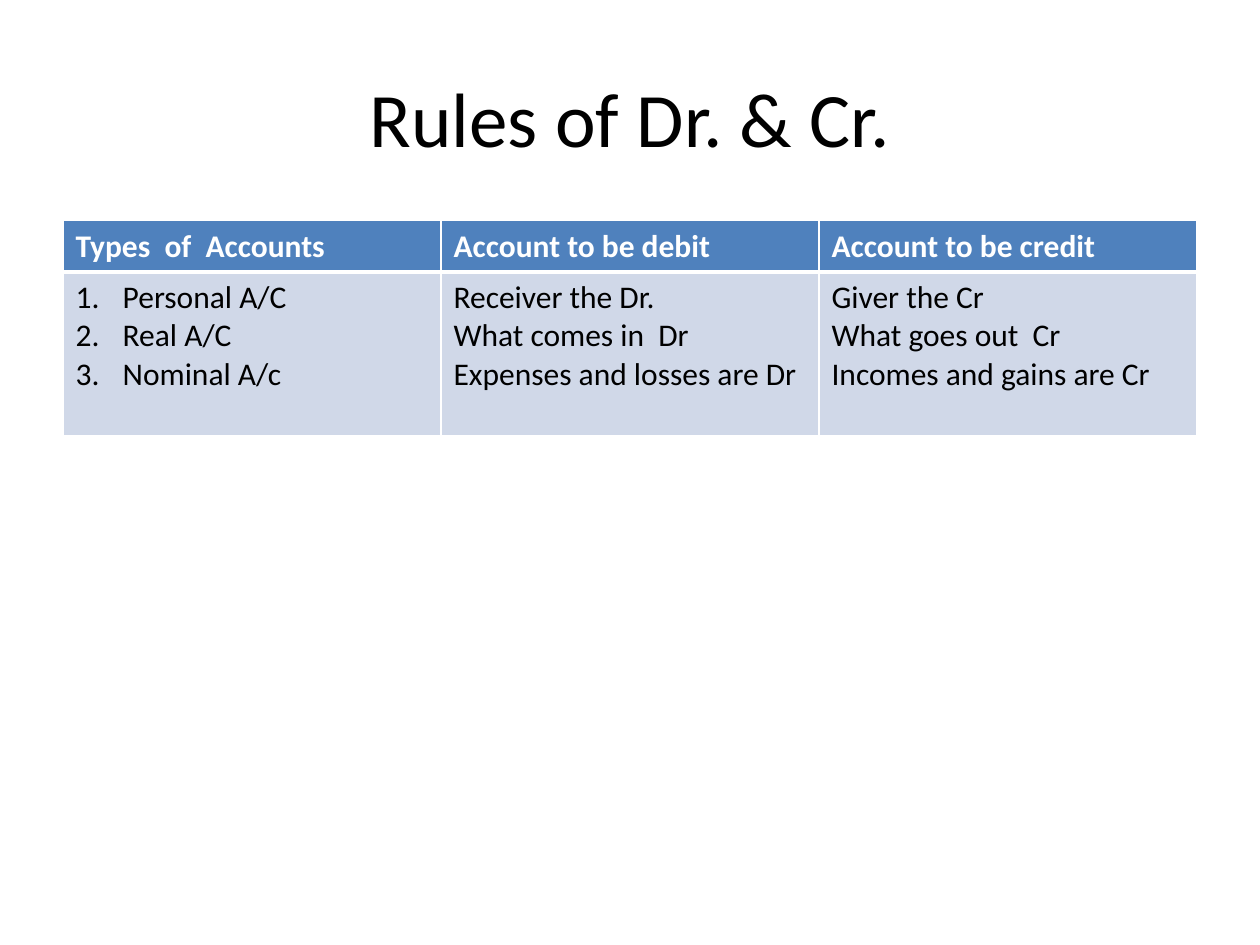
from dataclasses import dataclass

from lxml.etree import SubElement
from pptx import Presentation
from pptx.dml.color import RGBColor
from pptx.enum.text import MSO_ANCHOR, PP_ALIGN
from pptx.oxml.ns import qn
from pptx.util import Cm, Pt


@dataclass(frozen=True)
class Theme:
    font: str = "Calibri"
    title_size: Pt = Pt(44)
    table_size: Pt = Pt(18)
    black: RGBColor = RGBColor(0x00, 0x00, 0x00)
    white: RGBColor = RGBColor(0xFF, 0xFF, 0xFF)
    header_fill: RGBColor = RGBColor(0x4F, 0x81, 0xBD)
    body_fill: RGBColor = RGBColor(0xD0, 0xD8, 0xE8)
    thin_line: Pt = Pt(1)
    thick_line: Pt = Pt(3)


THEME = Theme()
MARGIN = Cm(1.27)
CONTENT_WIDTH = Cm(22.86)
LIST_INDENT = Cm(0.95)
ROW_HEIGHTS = (Cm(1.03), Cm(3.31))

COLUMNS = {
    "Types  of  Accounts": ["Personal A/C", "Real A/C", "Nominal A/c"],
    "Account to be debit": [
        "Receiver the Dr.", "What comes in  Dr", "Expenses and losses are Dr",
    ],
    "Account to be credit": [
        "Giver the Cr", "What goes out  Cr", "Incomes and gains are Cr",
    ],
}


def set_attributes(target, values):
    for name, value in values.items():
        setattr(target, name, value)


def format_font(font, size, color, bold=False):
    set_attributes(font, {"name": THEME.font, "size": size, "bold": bold})
    font.color.rgb = color


def add_title(slide, text):
    title = slide.shapes.title
    set_attributes(title, {
        "left": MARGIN, "top": Cm(0.76),
        "width": CONTENT_WIDTH, "height": Cm(3.18),
    })
    frame = title.text_frame
    set_attributes(frame, {
        "text": text, "word_wrap": True, "vertical_anchor": MSO_ANCHOR.MIDDLE,
    })
    paragraph = frame.paragraphs[0]
    paragraph.alignment = PP_ALIGN.CENTER
    format_font(paragraph.runs[0].font, THEME.title_size, THEME.black)


def set_borders(cell, widths):
    """Draw white cell borders; widths maps L, R, T and B, in that order."""
    properties = cell._tc.get_or_add_tcPr()
    for side, width in widths.items():
        line = SubElement(properties, qn(f"a:ln{side}"), w=str(width))
        fill = SubElement(line, qn("a:solidFill"))
        SubElement(fill, qn("a:srgbClr"), val=str(THEME.white))


def number_paragraph(paragraph):
    properties = paragraph._p.get_or_add_pPr()
    properties.set("marL", str(LIST_INDENT))
    properties.set("indent", str(-LIST_INDENT))
    SubElement(properties, qn("a:buFont"), typeface="+mj-lt")
    SubElement(properties, qn("a:buAutoNum"), type="arabicPeriod")


def fill_cell(cell, lines, is_header, numbered=False):
    thin, thick = THEME.thin_line, THEME.thick_line
    set_borders(cell, {
        "L": thin, "R": thin,
        "T": thin if is_header else thick,
        "B": thick if is_header else thin,
    })
    cell.fill.solid()
    cell.fill.fore_color.rgb = THEME.header_fill if is_header else THEME.body_fill
    cell.text = "\n".join(lines)
    color = THEME.white if is_header else THEME.black
    for paragraph in cell.text_frame.paragraphs:
        format_font(paragraph.runs[0].font, THEME.table_size, color, is_header)
        if numbered:
            number_paragraph(paragraph)


def add_rules_table(slide, columns):
    table = slide.shapes.add_table(
        len(ROW_HEIGHTS), len(columns),
        MARGIN, Cm(4.45), CONTENT_WIDTH, sum(ROW_HEIGHTS),
    ).table
    for row, height in zip(table.rows, ROW_HEIGHTS):
        row.height = height
    for index, (heading, lines) in enumerate(columns.items()):
        fill_cell(table.cell(0, index), [heading], is_header=True)
        fill_cell(table.cell(1, index), lines, is_header=False, numbered=index == 0)


def main():
    presentation = Presentation()
    set_attributes(presentation, {"slide_width": Cm(25.4), "slide_height": Cm(19.05)})
    slide = presentation.slides.add_slide(presentation.slide_layouts[5])
    add_title(slide, "Rules of Dr. & Cr.")
    add_rules_table(slide, COLUMNS)
    presentation.save("out.pptx")


if __name__ == "__main__":
    main()
